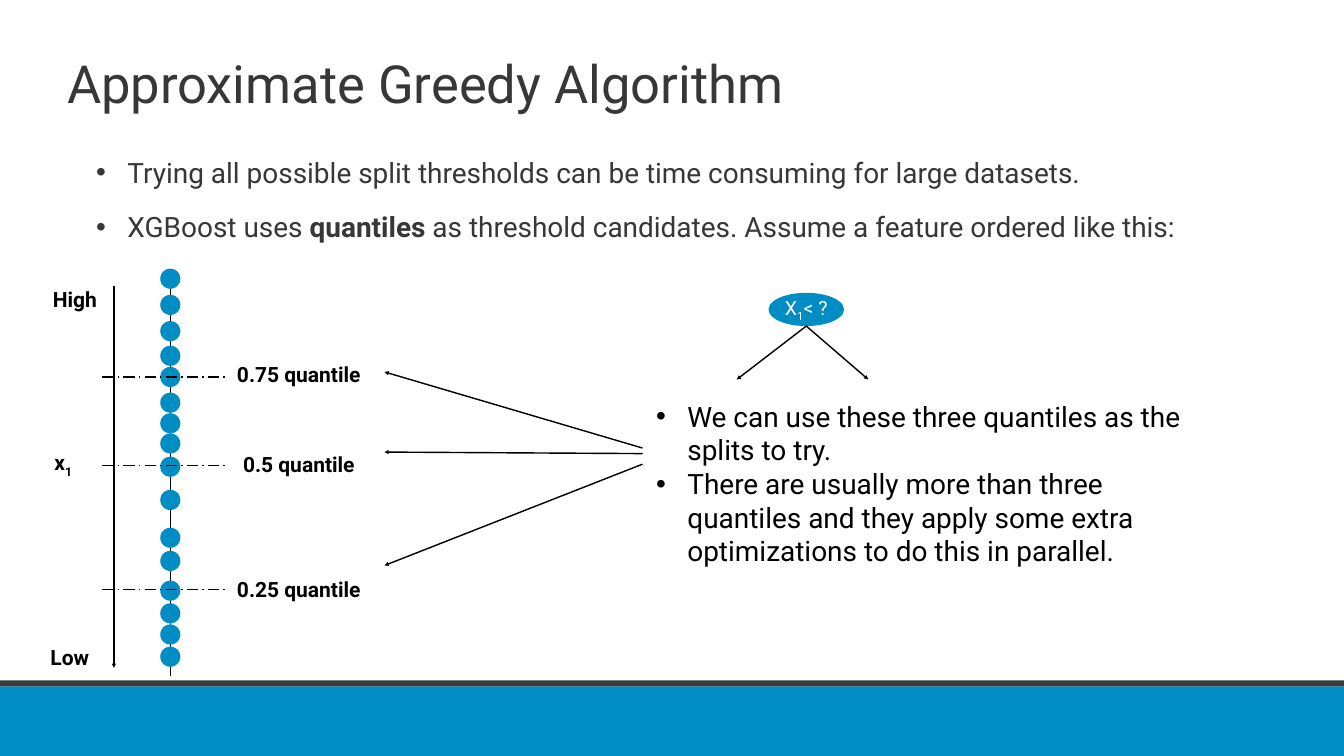
from lxml.etree import SubElement
from pptx import Presentation
from pptx.dml.color import RGBColor
from pptx.enum.dml import MSO_LINE
from pptx.enum.shapes import MSO_CONNECTOR, MSO_SHAPE
from pptx.enum.text import MSO_ANCHOR as ANCHOR, PP_ALIGN as ALIGN
from pptx.oxml.ns import qn
from pptx.util import Inches, Pt

COLORS = {"blue": "008DC4", "charcoal": "383D3B", "text": "373737",
          "black": "000000", "white": "FFFFFF"}
FONT = "Roboto"
DOT = 0.4
DOT_TOPS = [0, 0.52, 1.04, 1.53, 1.95, 2.46, 2.87, 3.27, 3.73,
            4.39, 5.14, 5.6, 6.19, 6.64, 7.06, 7.5]
QUANTILES = [("0.75 quantile", 2.15, 2.1), ("0.5 quantile", 3.91, 3.87),
             ("0.25 quantile", 6.37, 6.35)]


def rgb(name):
    """Return the named palette colour."""
    return RGBColor.from_string(COLORS[name])


def add_run(paragraph, text, size, color, bold=False, subscript=False):
    """Append one formatted run."""
    run = paragraph.add_run()
    run.text = text
    run.font.name, run.font.size, run.font.bold = FONT, Pt(size), bold
    run.font.color.rgb = rgb(color)
    if subscript:
        run.font._element.set("baseline", "-25000")


def set_frame(frame, anchor, inset=0.06):
    """Set wrapping, anchor and equal insets."""
    frame.word_wrap = True
    frame.vertical_anchor = anchor
    frame.margin_left = frame.margin_right = Inches(inset)
    frame.margin_top = frame.margin_bottom = Inches(inset)


def add_solid(slide, preset, box, color):
    """Add a borderless filled shape."""
    solid = slide.shapes.add_shape(preset, *map(Inches, box))
    solid.shadow.inherit = False
    solid.fill.solid()
    solid.fill.fore_color.rgb = rgb(color)
    solid.line.fill.background()
    return solid


def add_line(slide, start, end, arrow=False, dash=None):
    """Add a black straight line, optionally dashed or with an arrowhead."""
    line = slide.shapes.add_connector(
        MSO_CONNECTOR.STRAIGHT, *map(Inches, (*start, *end)))
    line.line.color.rgb = rgb("black")
    line.line.width = Pt(2)
    if dash:
        line.line.dash_style = dash
    if arrow:
        SubElement(line.line._get_or_add_ln(), qn("a:tailEnd"), type="triangle")
    SubElement(line._element.spPr, qn("a:effectLst"))


def add_label(slide, box, text, subscript=""):
    """Add a bold centred label."""
    frame = slide.shapes.add_textbox(*map(Inches, box)).text_frame
    set_frame(frame, ANCHOR.MIDDLE)
    paragraph = frame.paragraphs[0]
    paragraph.alignment = ALIGN.CENTER
    add_run(paragraph, text, 30, "black", True)
    if subscript:
        add_run(paragraph, subscript, 30, "black", True, True)


def add_bullets(slide, box, items, color, anchor, space_before=0):
    """Add a bulleted list whose items are lists of (text, bold) runs."""
    frame = slide.shapes.add_textbox(*map(Inches, box)).text_frame
    set_frame(frame, anchor)
    for index, item in enumerate(items):
        paragraph = frame.add_paragraph() if index else frame.paragraphs[0]
        paragraph.space_before = Pt(space_before)
        properties = paragraph._p.get_or_add_pPr()
        properties.set("marL", str(Inches(0.62)))
        properties.set("indent", str(Inches(-0.62)))
        SubElement(properties, qn("a:buFont"), typeface="Arial")
        SubElement(properties, qn("a:buChar"), char="•")
        for text, bold in item:
            add_run(paragraph, text, 40, color, bold)


def add_footer(slide, box):
    """Draw the bottom band with its dark upper rule."""
    left, top, width, height = box
    rule = 0.12
    add_solid(slide, MSO_SHAPE.RECTANGLE,
              (left, top + rule, width, height - rule), "blue")
    add_solid(slide, MSO_SHAPE.RECTANGLE, (left, top, width, rule), "charcoal")


def add_title(slide, box):
    """Place and format the title placeholder."""
    title = slide.shapes.title
    title.left, title.top, title.width, title.height = map(Inches, box)
    set_frame(title.text_frame, ANCHOR.MIDDLE)
    paragraph = title.text_frame.paragraphs[0]
    paragraph.alignment = ALIGN.LEFT
    add_run(paragraph, "Approximate Greedy Algorithm", 75, "text")


def add_feature_axis(slide, box):
    """Draw the ordered feature values, their scale and the quantile marks."""
    left, top, width, height = box
    axis_x, scale_x = left + 2.77, left + 1.65
    add_line(slide, (axis_x, top + 0.28), (axis_x, top + height))
    for dot_top in DOT_TOPS:
        add_solid(slide, MSO_SHAPE.OVAL,
                  (axis_x - DOT / 2, top + dot_top, DOT, DOT), "blue")
    add_line(slide, (scale_x, top + 0.35), (scale_x, top + 7.92), arrow=True)
    add_label(slide, (left + 0.23, top + 0.28, 1.29, 0.64), "High")
    add_label(slide, (left, top + 3.57, 1.29, 0.62), "x", "1")
    add_label(slide, (left + 0.13, top + 7.38, 1.29, 0.64), "Low")
    label_width = 2.68
    for name, mark_y, label_y in QUANTILES:
        add_line(slide, (left + 1.42, top + mark_y), (left + 3.85, top + mark_y),
                 dash=MSO_LINE.LONG_DASH_DOT)
        add_label(slide, (left + width - label_width, top + label_y - 0.31,
                          label_width, 0.62), name)


def add_split_node(slide, box):
    """Draw the tree node and its two branches."""
    left, top, width, height = box
    node_width, node_height = 1.5, 0.66
    node_left = left + 0.63
    node = add_solid(slide, MSO_SHAPE.OVAL,
                     (node_left, top, node_width, node_height), "blue")
    set_frame(node.text_frame, ANCHOR.MIDDLE, 0)
    node.text_frame.word_wrap = False
    paragraph = node.text_frame.paragraphs[0]
    paragraph.alignment = ALIGN.CENTER
    add_run(paragraph, "X", 28, "white")
    add_run(paragraph, "1", 28, "white", subscript=True)
    add_run(paragraph, "< ?", 28, "white")
    for branch_x in (left, left + width):
        add_line(slide, (node_left + node_width / 2, top + node_height),
                 (branch_x, top + height), arrow=True)


def add_quantile_arrows(slide, box):
    """Point from the explanation back to the three quantiles."""
    left, top, width, height = box
    for start_y, end_y in ((1.51, 0), (1.62, 1.59), (1.83, height)):
        add_line(slide, (left + width, top + start_y), (left, top + end_y),
                 arrow=True)


def main():
    """Build and save the slide."""
    deck = Presentation()
    deck.slide_width, deck.slide_height = Inches(26.67), Inches(15)
    slide = deck.slides.add_slide(deck.slide_layouts[5])
    add_footer(slide, (-0.04, 13.5, 26.75, 1.51))
    add_title(slide, (1.27, 0.39, 24.79, 2.5))
    add_bullets(slide, (1.85, 3.02, 22.97, 2.1), [
        [("Trying all possible split thresholds can be time consuming "
          "for large datasets.", False)],
        [("XGBoost uses ", False), ("quantiles", True),
         (" as threshold candidates. Assume a feature ordered like this:", False)],
    ], "text", ANCHOR.TOP, 30)
    add_bullets(slide, (12.96, 7.85, 10.89, 3.48), [
        [("We can use these three quantiles as the splits to try.", False)],
        [("There are usually more than three quantiles and they apply some "
          "extra optimizations to do this in parallel.", False)],
    ], "black", ANCHOR.MIDDLE)
    add_quantile_arrows(slide, (7.63, 7.38, 5.12, 3.84))
    add_feature_axis(slide, (0.61, 5.33, 6.66, 8.08))
    add_split_node(slide, (14.62, 5.81, 2.61, 1.72))
    deck.save("out.pptx")


if __name__ == "__main__":
    main()
